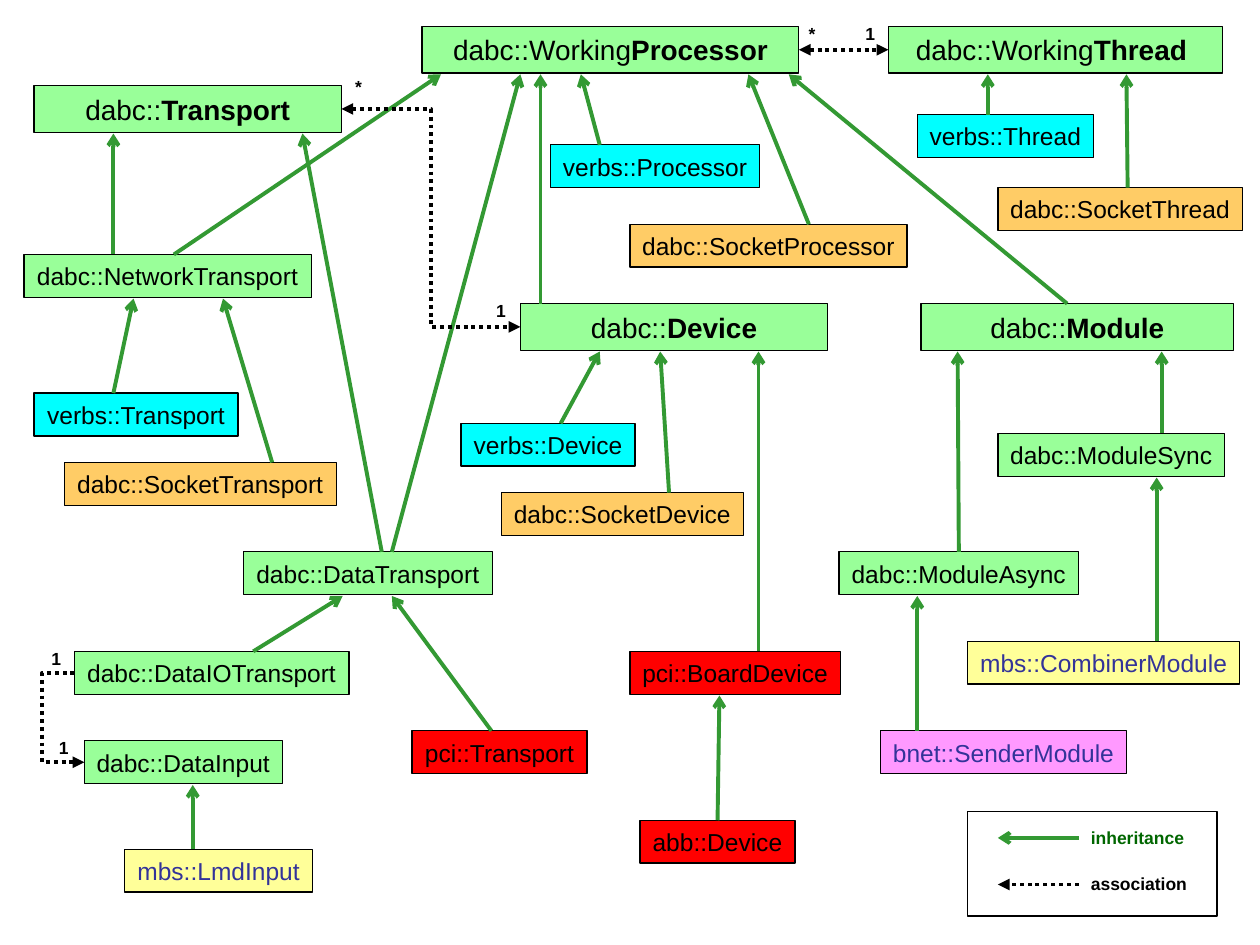
"""Build a class diagram slide with inheritance and association links."""
from lxml.etree import SubElement
from pptx import Presentation
from pptx.dml.color import RGBColor
from pptx.enum.dml import MSO_LINE
from pptx.enum.shapes import MSO_CONNECTOR, MSO_SHAPE
from pptx.enum.text import MSO_ANCHOR, PP_ALIGN
from pptx.oxml.ns import qn
from pptx.util import Inches, Pt

BLACK, NAVY, GREEN, DARK_GREEN = "000000", "333399", "339933", "006600"
LIME, CYAN, ORANGE, RED, YELLOW, PINK = "99FF99", "00FFFF", "FFCC66", "FF0000", "FFFF99", "FF99FF"
TOP, LEFT, BOTTOM, RIGHT = range(4)


def write(shape, runs, size, color, align):
    """Fill a shape with one paragraph of (text, bold) runs."""
    frame = shape.text_frame
    frame.word_wrap = False
    frame.vertical_anchor = MSO_ANCHOR.MIDDLE
    para = frame.paragraphs[0]
    para.alignment = align
    for text, bold in runs:
        span = para.add_run()
        span.text = text
        span.font.name = "Arial"
        span.font.size = Pt(size)
        span.font.bold = bold
        span.font.color.rgb = RGBColor.from_string(color)


def style_link(link, color, tail, head=None, dotted=False):
    """Set the line, arrowheads and empty effect list of a connector."""
    link.line.color.rgb = RGBColor.from_string(color)
    link.line.width = Pt(2.25)
    if dotted:
        link.line.dash_style = MSO_LINE.ROUND_DOT
    line = link.line._get_or_add_ln()
    for tag, kind in (("a:headEnd", head), ("a:tailEnd", tail)):
        if kind:
            SubElement(line, qn(tag), type=kind)
    SubElement(link._element.spPr, qn("a:effectLst"))


deck = Presentation()
deck.slide_width, deck.slide_height = Inches(10), Inches(7.5)
page = deck.slides.add_slide(deck.slide_layouts[6])

base_classes = [
    ("dabc::Working", "Processor", 3.35, 0.21, 2.99),
    ("dabc::Working", "Thread ", 7.05, 0.21, 2.65),
    ("dabc::", "Transport", 0.27, 0.68, 2.44),
    ("dabc::", "Device", 4.13, 2.41, 2.44),
    ("dabc::", "Module", 7.31, 2.41, 2.48),
]
derived_classes = [
    ("verbs::Thread", 7.28, 0.91, 1.4, CYAN),
    ("verbs::Processor", 4.37, 1.15, 1.66, CYAN),
    ("dabc::SocketThread", 7.92, 1.49, 1.94, ORANGE),
    ("dabc::SocketProcessor", 5, 1.78, 2.2, ORANGE),
    ("dabc::NetworkTransport", 0.19, 2.02, 2.28, LIME),
    ("verbs::Transport", 0.27, 3.12, 1.62, CYAN),
    ("verbs::Device", 3.66, 3.36, 1.38, CYAN),
    ("dabc::ModuleSync", 7.92, 3.44, 1.8, LIME),
    ("dabc::SocketTransport", 0.51, 3.67, 2.16, ORANGE),
    ("dabc::SocketDevice", 3.98, 3.91, 1.92, ORANGE),
    ("dabc::DataTransport", 1.93, 4.38, 1.98, LIME),
    ("dabc::ModuleAsync", 6.66, 4.38, 1.9, LIME),
    ("mbs::CombinerModule", 7.68, 5.09, 2.16, YELLOW),
    ("dabc::DataIOTransport", 0.59, 5.17, 2.18, LIME),
    ("pci::BoardDevice", 5, 5.17, 1.67, RED),
    ("pci::Transport", 3.27, 5.8, 1.39, RED),
    ("bnet::SenderModule", 6.99, 5.8, 1.95, PINK),
    ("dabc::DataInput", 0.67, 5.88, 1.57, LIME),
    ("abb::Device", 5.08, 6.51, 1.23, RED),
    ("mbs::LmdInput", 0.99, 6.74, 1.49, YELLOW),
]
classes = [([(prefix, False), (name, True)], left, top, width, 0.37, LIME, 16)
           for prefix, name, left, top, width in base_classes]
classes += [([(name, False)], left, top, width, 0.34, fill, 14)
            for name, left, top, width, fill in derived_classes]

boxes = {}
for runs, left, top, width, height, fill, size in classes:
    box = page.shapes.add_shape(MSO_SHAPE.RECTANGLE, Inches(left), Inches(top),
                                Inches(width), Inches(height))
    box.shadow.inherit = False
    box.fill.solid()
    box.fill.fore_color.rgb = RGBColor.from_string(fill)
    box.line.color.rgb = RGBColor.from_string(BLACK)
    box.line.width = Pt(0.75)
    color = NAVY if fill in (YELLOW, PINK) else BLACK
    write(box, runs, size, color, PP_ALIGN.CENTER)
    boxes["".join(text for text, bold in runs).strip()] = box

inheritance = [
    ("dabc::NetworkTransport", 1.38, "dabc::WorkingProcessor", 3.5),
    ("dabc::DataTransport", 3.11, "dabc::WorkingProcessor", 4.13),
    ("dabc::Device", 4.29, "dabc::WorkingProcessor", 4.29),
    ("verbs::Processor", 4.76, "dabc::WorkingProcessor", 4.61),
    ("dabc::SocketProcessor", 6.42, "dabc::WorkingProcessor", 5.94),
    ("dabc::Module", 8.47, "dabc::WorkingProcessor", 6.26),
    ("verbs::Thread", 7.84, "dabc::WorkingThread", 7.84),
    ("dabc::SocketThread", 8.95, "dabc::WorkingThread", 8.94),
    ("dabc::NetworkTransport", 0.9, "dabc::Transport", 0.9),
    ("dabc::DataTransport", 3.03, "dabc::Transport", 2.4),
    ("verbs::Transport", 0.9, "dabc::NetworkTransport", 1.06),
    ("dabc::SocketTransport", 2.16, "dabc::NetworkTransport", 1.77),
    ("verbs::Device", 4.45, "dabc::Device", 4.76),
    ("dabc::SocketDevice", 5.31, "dabc::Device", 5.24),
    ("pci::BoardDevice", 6.02, "dabc::Device", 6.02),
    ("abb::Device", 5.71, "pci::BoardDevice", 5.71),
    ("dabc::ModuleAsync", 7.61, "dabc::Module", 7.6),
    ("dabc::ModuleSync", 9.22, "dabc::Module", 9.22),
    ("mbs::CombinerModule", 9.18, "dabc::ModuleSync", 9.18),
    ("bnet::SenderModule", 7.28, "dabc::ModuleAsync", 7.28),
    ("dabc::DataIOTransport", 2.01, "dabc::DataTransport", 2.72),
    ("pci::Transport", 3.9, "dabc::DataTransport", 3.11),
    ("mbs::LmdInput", 1.53, "dabc::DataInput", 1.53),
]
for child_name, child_x, parent_name, parent_x in inheritance:
    child, parent = boxes[child_name], boxes[parent_name]
    link = page.shapes.add_connector(MSO_CONNECTOR.STRAIGHT, Inches(child_x), child.top,
                                     Inches(parent_x), parent.top + parent.height + Inches(0.01))
    if abs(child.left + child.width / 2 - Inches(child_x)) < Inches(0.02):
        link.begin_connect(child, TOP)
    style_link(link, GREEN, "arrow")

associations = [
    ("dabc::WorkingProcessor", RIGHT, "dabc::WorkingThread", LEFT, "triangle", None),
    ("dabc::Transport", RIGHT, "dabc::Device", LEFT, "triangle", 50000),
    ("dabc::DataIOTransport", LEFT, "dabc::DataInput", LEFT, None, -320000),
]
for first, first_side, second, second_side, head, bend in associations:
    kind = MSO_CONNECTOR.ELBOW if bend else MSO_CONNECTOR.STRAIGHT
    link = page.shapes.add_connector(kind, 0, 0, 0, 0)
    link.begin_connect(boxes[first], first_side)
    link.end_connect(boxes[second], second_side)
    if bend:
        guides = link._element.spPr.find(qn("a:prstGeom")).find(qn("a:avLst"))
        SubElement(guides, qn("a:gd"), name="adj1", fmla=f"val {bend}")
    style_link(link, BLACK, "triangle", head, dotted=True)

legend = page.shapes.add_shape(MSO_SHAPE.RECTANGLE, Inches(7.68), Inches(6.44),
                               Inches(1.98), Inches(0.83))
legend.shadow.inherit = False
legend.fill.background()
legend.line.color.rgb = RGBColor.from_string(BLACK)
legend.line.width = Pt(0.75)
for y, color, tail, dotted in ((6.65, GREEN, "arrow", False), (7.02, BLACK, "triangle", True)):
    sample = page.shapes.add_connector(MSO_CONNECTOR.STRAIGHT, Inches(8.56), Inches(y),
                                       Inches(7.92), Inches(y))
    style_link(sample, color, tail, dotted=dotted)

labels = [
    ("*", 6.32, 0.13, 0.45, BLACK),
    ("1", 6.77, 0.13, 0.27, BLACK),
    ("*", 2.72, 0.55, 0.45, BLACK),
    ("1", 3.84, 2.33, 0.27, BLACK),
    ("1", 0.31, 5.09, 0.27, BLACK),
    ("1", 0.37, 5.8, 0.27, BLACK),
    ("inheritance", 8.56, 6.51, 0.94, DARK_GREEN),
    ("association", 8.56, 6.88, 0.96, BLACK),
]
for text, left, top, width, color in labels:
    label = page.shapes.add_textbox(Inches(left), Inches(top), Inches(width), Inches(0.27))
    write(label, [(text, True)], 10, color, PP_ALIGN.LEFT)
    label.text_frame.word_wrap = True

deck.save("out.pptx")
